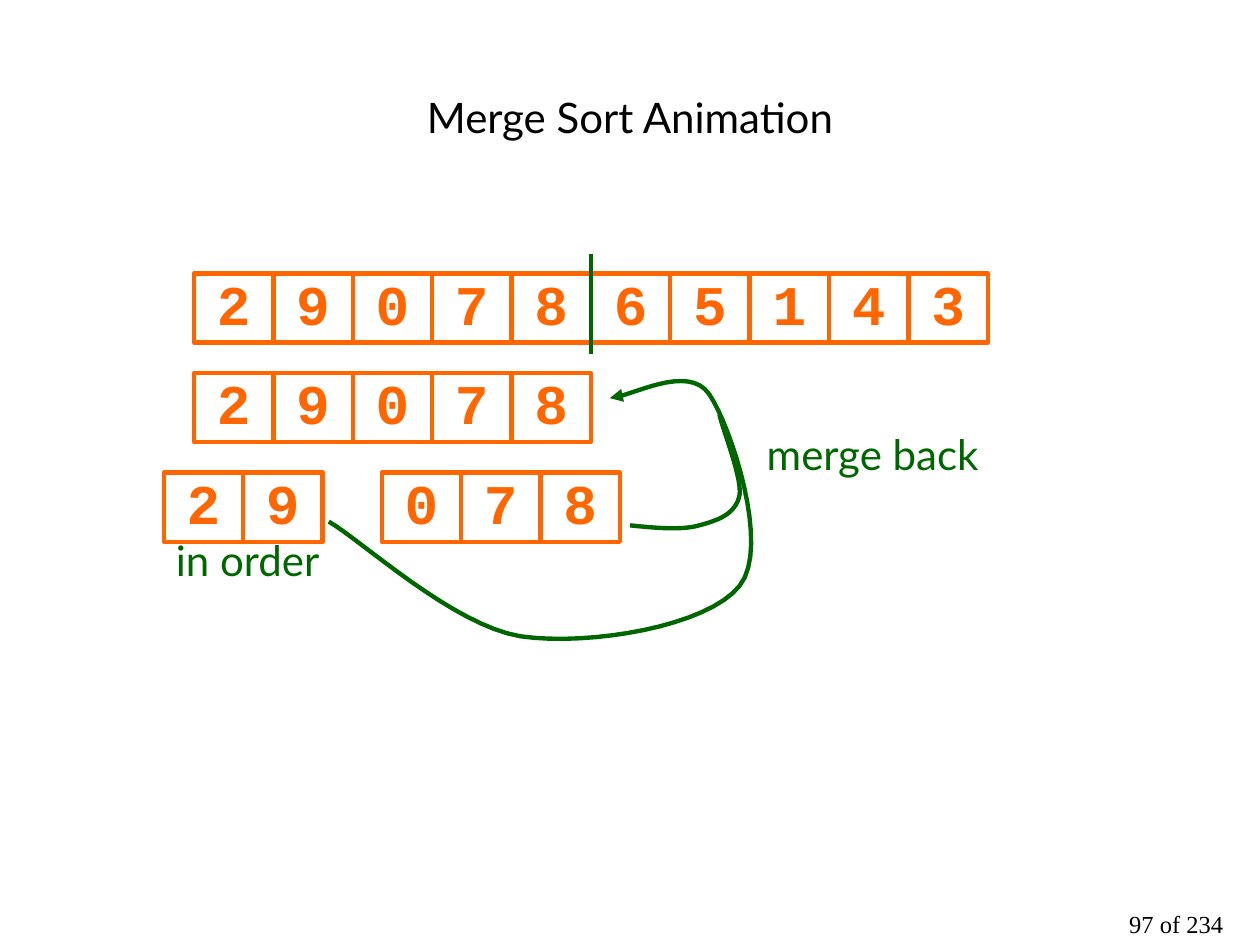
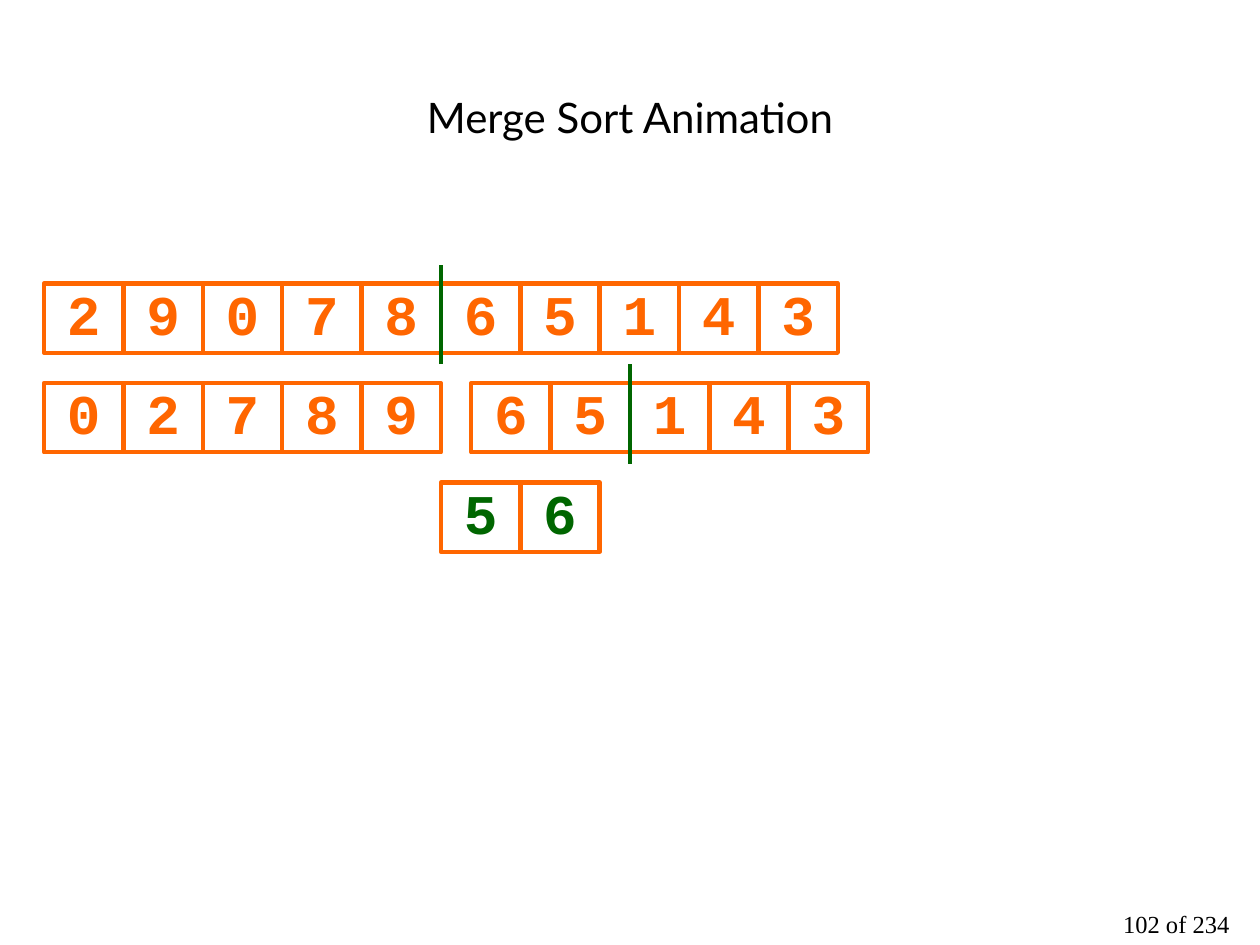
import pptx
import pptx.dml.color
import pptx.enum.shapes
import pptx.enum.text
import pptx.oxml.ns
import pptx.util
from dataclasses import dataclass
from lxml import etree

Inches = pptx.util.Inches
Pt = pptx.util.Pt
Anchor = pptx.enum.text.MSO_ANCHOR


@dataclass(frozen=True)
class Theme:
    ink: str = "000000"
    orange: str = "FF6600"
    green: str = "006600"
    sans: str = "Lato"
    serif: str = "Times New Roman"
    mono: str = "Courier New"
    title_size: int = 24
    label_size: int = 24
    digit_size: int = 32
    page_size: int = 14
    stroke: float = 2.5


THEME = Theme()
TITLE = "Merge Sort Animation"
PAGE_COUNT = 234

CELL_WIDTH, CELL_HEIGHT = 0.63, 0.55
ROW_PITCH = 0.79
SPLIT_RISE = 0.15
CURVE_STEPS = 16

# Arrays: digits, left, row, digit colour, number of cells before the split (0 = none).
# Curves: start point, Bezier segments (control, control, end), whether an arrowhead ends it.
SLIDES = [
    {
        "page": 97,
        "top": 2.17,
        "arrays": [
            ("2907865143", 1.54, 0, THEME.orange, 5),
            ("29078", 1.54, 1, THEME.orange, 0),
            ("29", 1.3, 2, THEME.orange, 0),
            ("078", 3.03, 2, THEME.orange, 0),
        ],
        "labels": [
            ("in order", (1.06, 4.3, 1.81, 0.34)),
            ("merge back", (6.02, 3.46, 1.81, 0.68)),
        ],
        "curves": [
            ((2.61, 4.14), [
                ((2.87, 4.29), (3.59, 4.96), (4.13, 5.05)),
                ((4.68, 5.13), (5.62, 4.97), (5.87, 4.65)),
                ((6.12, 4.34), (5.8, 3.38), (5.63, 3.13)),
                ((5.46, 2.88), (5.01, 3.15), (4.84, 3.16)),
            ], True),
            ((5, 4.17), [
                ((5.2, 4.19), (5.41, 4.21), (5.55, 4.17)),
                ((5.7, 4.13), (5.84, 4.08), (5.87, 3.93)),
                ((5.89, 3.79), (5.74, 3.42), (5.71, 3.29)),
            ], False),
        ],
    },
    {
        "page": 102,
        "top": 2.25,
        "arrays": [
            ("2907865143", 0.35, 0, THEME.orange, 5),
            ("02789", 0.35, 1, THEME.orange, 0),
            ("65143", 3.74, 1, THEME.orange, 2),
            ("56", 3.5, 2, THEME.green, 0),
        ],
        "labels": [],
        "curves": [],
    },
]


def set_line(line, color):
    line.color.rgb = pptx.dml.color.RGBColor.from_string(color)
    line.width = Pt(THEME.stroke)


def write(shape, text, font, size, color, bold=False, spacing=1.0,
          anchor=Anchor.TOP, insets=(0, 0, 0, 0)):
    frame = shape.text_frame
    frame.word_wrap = True
    frame.vertical_anchor = anchor
    (frame.margin_left, frame.margin_top,
     frame.margin_right, frame.margin_bottom) = map(Inches, insets)
    paragraph = frame.paragraphs[0]
    paragraph.alignment = pptx.enum.text.PP_ALIGN.CENTER
    paragraph.line_spacing = spacing
    run = paragraph.add_run()
    run.text = text
    run.font.name = font
    run.font.size = Pt(size)
    run.font.bold = bold
    run.font.color.rgb = pptx.dml.color.RGBColor.from_string(color)


def add_text(slide, box, *args, **kwargs):
    write(slide.shapes.add_textbox(*map(Inches, box)), *args, **kwargs)


def add_array(slide, digits, left, top, color):
    for index, digit in enumerate(digits):
        cell = slide.shapes.add_shape(
            pptx.enum.shapes.MSO_SHAPE.RECTANGLE, Inches(left + index * CELL_WIDTH),
            Inches(top), Inches(CELL_WIDTH), Inches(CELL_HEIGHT))
        cell.shadow.inherit = False
        cell.fill.background()
        set_line(cell.line, THEME.orange)
        write(cell, digit, THEME.mono, THEME.digit_size, color, bold=True,
              spacing=0.85, anchor=Anchor.MIDDLE)


def add_split(slide, x, row_top):
    top = row_top - SPLIT_RISE
    split = slide.shapes.add_connector(
        pptx.enum.shapes.MSO_CONNECTOR.STRAIGHT, Inches(x), Inches(top + ROW_PITCH),
        Inches(x), Inches(top))
    set_line(split.line, THEME.green)
    etree.SubElement(split._element.spPr, pptx.oxml.ns.qn("a:effectLst"))


def bezier(points, t):
    """Point at t on the Bezier curve, by repeated interpolation."""
    while len(points) > 1:
        points = [tuple(a + (b - a) * t for a, b in zip(p, q))
                  for p, q in zip(points, points[1:])]
    return points[0]


def add_curve(slide, start, segments, has_arrow):
    outline = []
    origin = start
    for segment in segments:
        outline += [bezier([origin, *segment], step / CURVE_STEPS)
                    for step in range(1, CURVE_STEPS + 1)]
        origin = segment[-1]
    builder = slide.shapes.build_freeform(*map(Inches, start))
    builder.add_line_segments([tuple(map(Inches, point)) for point in outline], close=False)
    curve = builder.convert_to_shape()
    curve.shadow.inherit = False
    curve.fill.background()
    set_line(curve.line, THEME.green)
    if has_arrow:
        etree.SubElement(curve.line._get_or_add_ln(), pptx.oxml.ns.qn("a:tailEnd"),
                         type="triangle")


def build_slide(deck, content):
    slide = deck.slides.add_slide(deck.slide_layouts[6])
    add_text(slide, (0.5, 0.3, 9, 1.25), TITLE, THEME.sans, THEME.title_size, THEME.ink,
             anchor=Anchor.MIDDLE)
    add_text(slide, (8.62, 7.22, 1.38, 0.28), f"{content['page']} of {PAGE_COUNT}",
             THEME.serif, THEME.page_size, THEME.ink, spacing=0.75,
             insets=(0.15, 0.05, 0.1, 0.05))
    for digits, left, row, color, split_after in content["arrays"]:
        top = content["top"] + row * ROW_PITCH
        add_array(slide, digits, left, top, color)
        if split_after:
            add_split(slide, left + split_after * CELL_WIDTH, top)
    for text, box in content["labels"]:
        add_text(slide, box, text, THEME.sans, THEME.label_size, THEME.green, spacing=0.85)
    for curve in content["curves"]:
        add_curve(slide, *curve)


def main():
    deck = pptx.Presentation()
    deck.slide_width, deck.slide_height = Inches(10), Inches(7.5)
    for content in SLIDES:
        build_slide(deck, content)
    deck.save("out.pptx")


if __name__ == "__main__":
    main()
